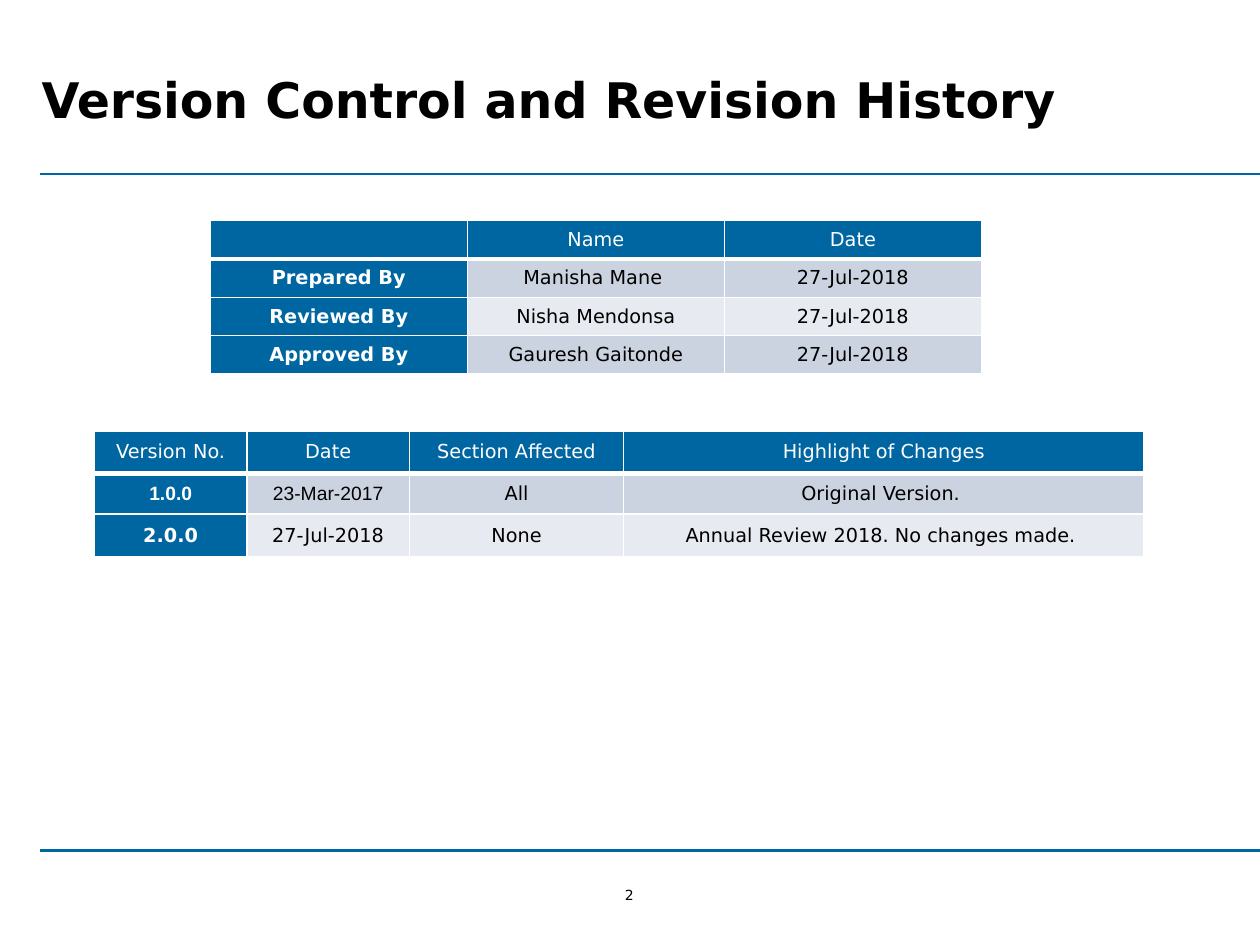
from dataclasses import dataclass

from lxml.etree import SubElement
from pptx import Presentation
from pptx.dml.color import RGBColor
from pptx.enum.shapes import MSO_CONNECTOR
from pptx.enum.text import MSO_ANCHOR, MSO_AUTO_SIZE, PP_ALIGN
from pptx.oxml import parse_xml
from pptx.oxml.ns import nsdecls, qn
from pptx.slide import Slide
from pptx.table import _Cell as Cell
from pptx.text.text import TextFrame
from pptx.util import Inches, Pt


@dataclass(frozen=True)
class Theme:
    blue: str = "0066A1"
    white: str = "FFFFFF"
    black: str = "000000"
    bands: tuple[str, ...] = ("CCD3E0", "E7EAF0")
    font: str = "DejaVu Sans"
    alt_font: str = "Arial"
    title: float = 28
    body: float = 11
    number: float = 8
    rule: float = 1.25
    border: float = 1
    header_border: float = 3


@dataclass(frozen=True)
class TableSpec:
    left: float
    top: float
    cols: tuple[float, ...]
    heights: tuple[float, ...]
    rows: tuple[tuple[str, ...], ...]
    body_margins: tuple[float, float]
    alt_cells: tuple[tuple[int, int], ...] = ()


THEME = Theme()
HEADER_MARGINS = (0.07, 0.04)
RULE_TOPS = (1.38, 6.75)

TABLES = (
    TableSpec(
        1.67, 1.75, (2.04,) * 3, (0.305,) * 4,
        (("", "Name", "Date"),
         ("Prepared By", "Manisha Mane ", "27-Jul-2018"),
         ("Reviewed By", "Nisha Mendonsa", "27-Jul-2018"),
         ("Approved By", "Gauresh Gaitonde", "27-Jul-2018")),
        HEADER_MARGINS,
    ),
    TableSpec(
        0.75, 3.42, (1.21, 1.29, 1.7, 4.13), (0.34, 0.32, 0.34),
        (("Version No.", "Date", "Section Affected", "Highlight of Changes"),
         ("1.0.0", "23-Mar-2017", "All", "Original Version. "),
         ("2.0.0", "27-Jul-2018", "None", "Annual Review 2018. No changes made. ")),
        (0.06, 0),
        alt_cells=((1, 0), (1, 1)),
    ),
)


def write(tf: TextFrame, text: str, size: float, color: str, align: PP_ALIGN,
          bold: bool = False, font: str = THEME.font) -> None:
    tf.text = text
    p = tf.paragraphs[0]
    p.alignment = align
    for r in p.runs:
        r.font.name = font
        r.font.size = Pt(size)
        r.font.bold = bold
        r.font.color.rgb = RGBColor.from_string(color)
    if not text:
        SubElement(p._p, qn("a:endParaRPr")).set("sz", str(int(size * 100)))


def set_margins(target: Cell | TextFrame, x: float, y: float) -> None:
    target.margin_left = target.margin_right = Inches(x)
    target.margin_top = target.margin_bottom = Inches(y)


def set_borders(cell: Cell, bottom: float) -> None:
    tc_pr = cell._tc.get_or_add_tcPr()
    widths = {"L": THEME.border, "R": THEME.border, "T": THEME.border, "B": bottom}
    for i, (side, width) in enumerate(widths.items()):
        tc_pr.insert(i, parse_xml(
            f'<a:ln{side} {nsdecls("a")} w="{Pt(width)}"><a:solidFill>'
            f'<a:srgbClr val="{THEME.white}"/></a:solidFill></a:ln{side}>'))


def add_title(slide: Slide, text: str) -> None:
    sp = slide.shapes.title
    sp.left, sp.top, sp.width, sp.height = map(Inches, (0.33, 0.5, 9.49, 0.49))
    tf = sp.text_frame
    tf.auto_size = MSO_AUTO_SIZE.NONE
    tf.vertical_anchor = MSO_ANCHOR.TOP
    set_margins(tf, 0, 0.05)
    write(tf, text, THEME.title, THEME.black, PP_ALIGN.LEFT, bold=True)


def add_rule(slide: Slide, top: float) -> None:
    line = slide.shapes.add_connector(
        MSO_CONNECTOR.STRAIGHT, Inches(0.32), Inches(top), Inches(10), Inches(top))
    line.line.color.rgb = RGBColor.from_string(THEME.blue)
    line.line.width = Pt(THEME.rule)
    SubElement(line._element.spPr, qn("a:effectLst"))


def add_page_number(slide: Slide, number: str) -> None:
    sp = slide.shapes.add_textbox(*map(Inches, (4.9, 7.04, 0.19, 0.13)))
    tf = sp.text_frame
    tf.word_wrap = False
    tf.vertical_anchor = MSO_ANCHOR.MIDDLE
    set_margins(tf, 0, 0)
    write(tf, number, THEME.number, THEME.black, PP_ALIGN.CENTER)


def add_table(slide: Slide, spec: TableSpec) -> None:
    table = slide.shapes.add_table(
        len(spec.rows), len(spec.cols), Inches(spec.left), Inches(spec.top),
        Inches(sum(spec.cols)), Inches(sum(spec.heights))).table
    for column, width in zip(table.columns, spec.cols):
        column.width = Inches(width)
    for row, height in zip(table.rows, spec.heights):
        row.height = Inches(height)
    for i, texts in enumerate(spec.rows):
        for j, text in enumerate(texts):
            cell = table.cell(i, j)
            header, label = i == 0, i > 0 and j == 0
            blue = header or label
            fill = THEME.blue if blue else THEME.bands[(i - 1) % len(THEME.bands)]
            cell.fill.solid()
            cell.fill.fore_color.rgb = RGBColor.from_string(fill)
            cell.vertical_anchor = MSO_ANCHOR.MIDDLE
            set_margins(cell, *(HEADER_MARGINS if header else spec.body_margins))
            set_borders(cell, THEME.header_border if header else THEME.border)
            write(cell.text_frame, text, THEME.body,
                  THEME.white if blue else THEME.black, PP_ALIGN.CENTER, bold=label,
                  font=THEME.alt_font if (i, j) in spec.alt_cells else THEME.font)


def main() -> None:
    prs = Presentation()
    prs.slide_width, prs.slide_height = Inches(10), Inches(7.5)
    slide = prs.slides.add_slide(prs.slide_layouts.get_by_name("Title Only"))
    add_page_number(slide, "2")
    for top in RULE_TOPS:
        add_rule(slide, top)
    add_title(slide, "Version Control and Revision History")
    for spec in TABLES:
        add_table(slide, spec)
    prs.save("out.pptx")


main()
